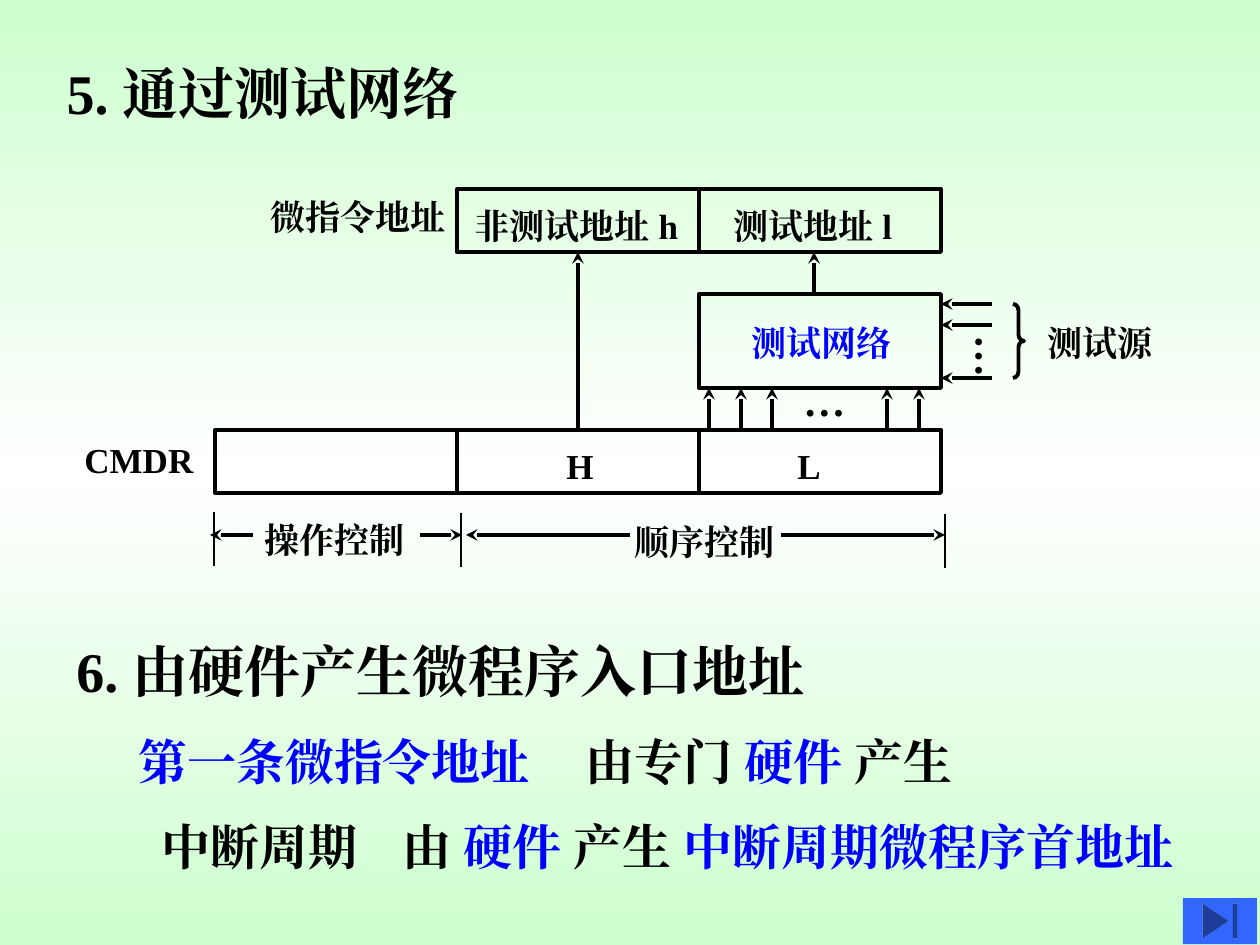
from lxml.etree import SubElement
from copy import deepcopy
from pptx import Presentation
from pptx.dml.color import RGBColor
from pptx.enum.shapes import MSO_CONNECTOR, MSO_SHAPE
from pptx.enum.text import MSO_ANCHOR, MSO_AUTO_SIZE, PP_ALIGN
from pptx.oxml.ns import qn
from pptx.util import Pt

EMU_PER_PX = 914400 / 126
BLACK = RGBColor(0x00, 0x00, 0x00)
BLUE = RGBColor(0x00, 0x00, 0xFF)
WHITE = RGBColor(0xFF, 0xFF, 0xFF)
PALE_GREEN = RGBColor(0xCD, 0xFF, 0xCE)
BUTTON_BLUE = RGBColor(0x33, 0x66, 0xFF)
SERIF = "Times New Roman"
SANS = "DejaVu Sans"


def px(length):
    return round(length * EMU_PER_PX)


def write_text(shape, runs, size=20, color=BLACK, font=SERIF, wrap=False, tab=None,
               vertical=False):
    """Fill a shape with one line; runs is a string or a list of (text, color[, font])."""
    frame = shape.text_frame
    frame.auto_size = MSO_AUTO_SIZE.NONE
    frame.word_wrap = wrap
    frame.vertical_anchor = MSO_ANCHOR.TOP
    if vertical:
        frame._txBody.bodyPr.set("vert", "eaVert")
        frame.margin_left = frame.margin_right = px(6)
        frame.margin_top = frame.margin_bottom = px(13)
    paragraph = frame.paragraphs[0]
    paragraph.alignment = PP_ALIGN.LEFT
    paragraph.space_before = Pt(0)
    if tab:
        tabs = SubElement(paragraph._p.get_or_add_pPr(), qn("a:tabLst"))
        SubElement(tabs, qn("a:tab"), pos=str(px(tab)), algn="l")
    if isinstance(runs, str):
        runs = [(runs, color)]
    for text, run_color, *run_font in runs:
        run = paragraph.add_run()
        run.text = text
        run.font.size = Pt(size)
        run.font.bold = True
        run.font.color.rgb = run_color
        run.font.name = run_font[0] if run_font else font
        SubElement(run.font._element, qn("a:ea"), typeface=SERIF)


class SlideBuilder:
    def __init__(self, slide):
        self.slide = slide
        self.shapes = slide.shapes

    def background(self, *colors):
        """Vertical gradient with evenly spaced colors."""
        fill = self.slide.background.fill
        fill.gradient()
        fill.gradient_angle = 90
        stop_list = self.slide.element.xpath(".//p:bg//a:gsLst")[0]
        while len(stop_list) < len(colors):
            stop_list.append(deepcopy(stop_list[0]))
        for index, (stop, color) in enumerate(zip(fill.gradient_stops, colors)):
            stop.position = index / (len(colors) - 1)
            stop.color.rgb = color

    def title(self, text, left, top, width, height, **text_format):
        title = self.shapes.title
        title.left, title.top = px(left), px(top)
        title.width, title.height = px(width), px(height)
        write_text(title, text, **text_format)

    def text(self, runs, left, top, width, height=55, **text_format):
        box = self.shapes.add_textbox(px(left), px(top), px(width), px(height))
        write_text(box, runs, **text_format)

    def shape(self, kind, left, top, width, height, fill=None):
        shape = self.shapes.add_shape(kind, px(left), px(top), px(width), px(height))
        shape.shadow.inherit = False
        if fill is None:
            shape.fill.background()
            shape.line.color.rgb = BLACK
            shape.line.width = Pt(2.25)
        else:
            shape.fill.solid()
            shape.fill.fore_color.rgb = fill
            shape.line.fill.background()
        return shape

    def line(self, start, end, weight=2.25, arrow=True):
        connector = self.shapes.add_connector(
            MSO_CONNECTOR.STRAIGHT, *(px(value) for value in (*start, *end)))
        connector.line.color.rgb = BLACK
        connector.line.width = Pt(weight)
        if arrow:
            SubElement(connector.line._get_or_add_ln(), qn("a:tailEnd"), type="stealth")
        SubElement(connector._element.spPr, qn("a:effectLst"))
        return connector


def draw_registers(builder):
    left, cell_width, cell_height = 215, 242, 63
    columns = [left + cell_width * index for index in range(3)]
    address_top, network_top, network_height, register_top = 189, 294, 94, 430
    address_cells = [
        builder.shape(MSO_SHAPE.RECTANGLE, column, address_top, cell_width, cell_height)
        for column in columns[1:]]
    register_cells = [
        builder.shape(MSO_SHAPE.RECTANGLE, column, register_top, cell_width, cell_height)
        for column in columns]
    builder.shape(MSO_SHAPE.RECTANGLE, columns[2], network_top, cell_width, network_height)

    high_arrow = builder.line((578, register_top), (578, address_top + cell_height))
    high_arrow.begin_connect(register_cells[1], 0)
    high_arrow.end_connect(address_cells[0], 2)
    builder.line((814, network_top), (814, address_top + cell_height))
    for x in (709, 741, 772, 887, 919):
        builder.line((x, register_top), (x, network_top + network_height))
    for y in (304, 325, 378):
        builder.line((992, y), (columns[2] + cell_width, y))
    brace = builder.shape(MSO_SHAPE.RIGHT_BRACE, 1013, 304, 11, 74)
    brace.adjustments[0] = 0.57

    for text, x, y, width in (
            ("微指令地址", 258, 189, 200),
            ("非测试地址 h", 462, 198, 236),
            ("测试地址 l", 721, 198, 192),
            ("测试源", 1035, 315, 130),
            ("CMDR", 72, 432, 134),
            ("H", 554, 438, 52),
            ("L", 785, 438, 48)):
        builder.text(text, x, y, width)
    builder.text("测试网络", 739, 315, 165, color=BLUE)
    builder.text("…", 791, 368, 67, 63, size=24)
    builder.text("…", 948, 323, 76, 55, size=24, vertical=True)


def draw_field_spans(builder):
    for x, top in ((214, 512), (461, 513), (945, 514)):
        builder.line((x, top), (x, top + 54), weight=1.5, arrow=False)
    for start, end in ((253, 210), (420, 462), (630, 466), (781, 945)):
        builder.line((start, 535), (end, 535))
    builder.text("操作控制", 252, 512, 165)
    builder.text("顺序控制", 622, 514, 165)


def main():
    presentation = Presentation()
    presentation.slide_width, presentation.slide_height = px(1260), px(945)
    builder = SlideBuilder(presentation.slides.add_slide(presentation.slide_layouts[5]))
    builder.background(PALE_GREEN, WHITE, PALE_GREEN)
    builder.title([("5. ", BLACK), ("通过测试网络", BLACK, SANS)],
                  54, 52, 1002, 81, size=32, wrap=True)
    draw_registers(builder)
    draw_field_spans(builder)
    builder.text([("6. 由硬件产生", BLACK), ("微程序入口地址", BLACK, SANS)],
                 64, 630, 881, 81, size=32, wrap=True)
    builder.text(
        [("第一条微指令地址", BLUE), ("\t由专门 ", BLACK), ("硬件 ", BLUE), ("产生", BLACK)],
        126, 725, 1071, 72, size=28, font=SANS, wrap=True, tab=447)
    builder.text(
        [("中断周期\t由 ", BLACK), ("硬件 ", BLUE), ("产生 ", BLACK),
         ("中断周期微程序首地址", BLUE)],
        149, 810, 1090, 72, size=28, font=SANS, wrap=True, tab=241)
    builder.shape(MSO_SHAPE.ACTION_BUTTON_END, 1183, 898, 74, 46, fill=BUTTON_BLUE)
    presentation.save("out.pptx")


if __name__ == "__main__":
    main()
